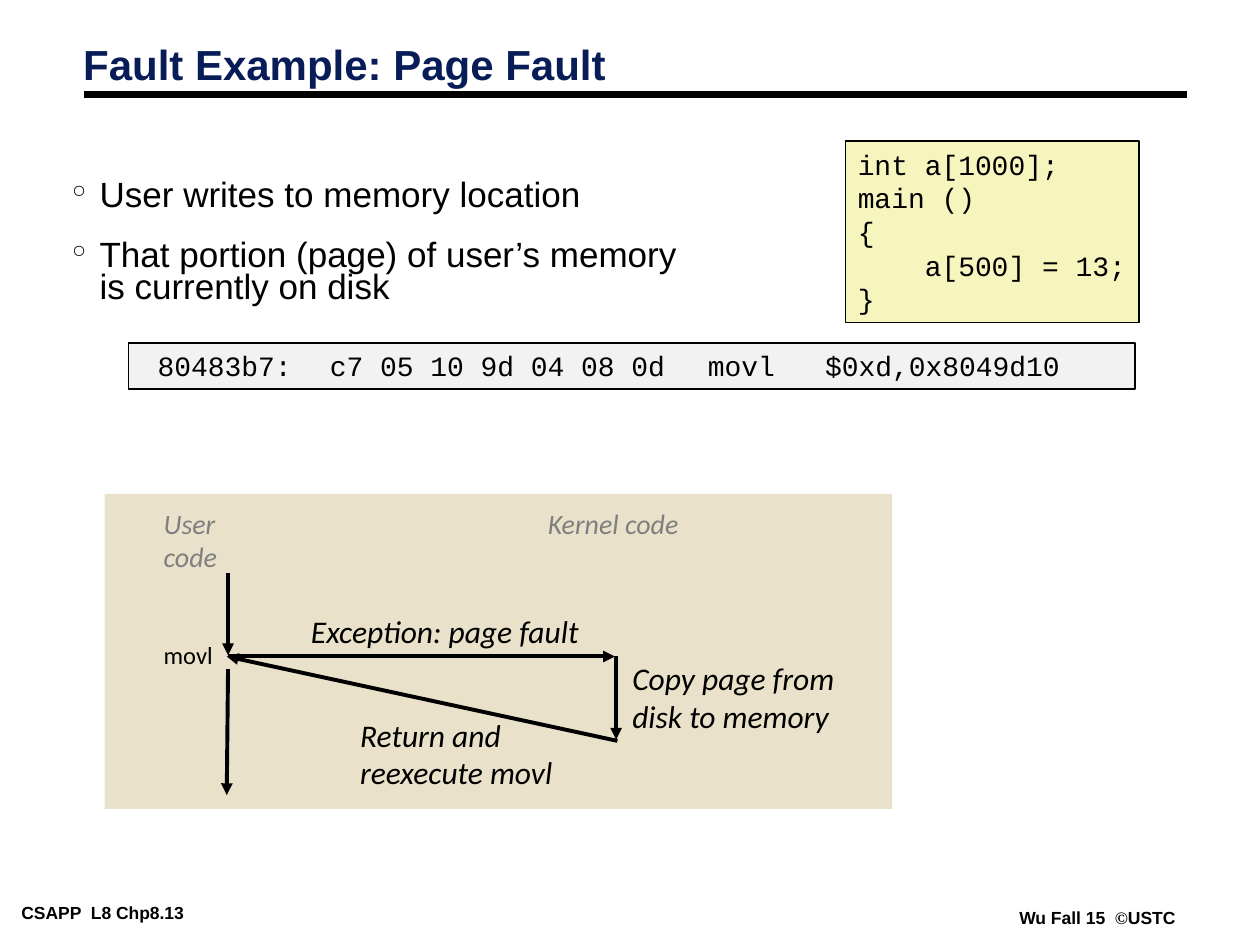
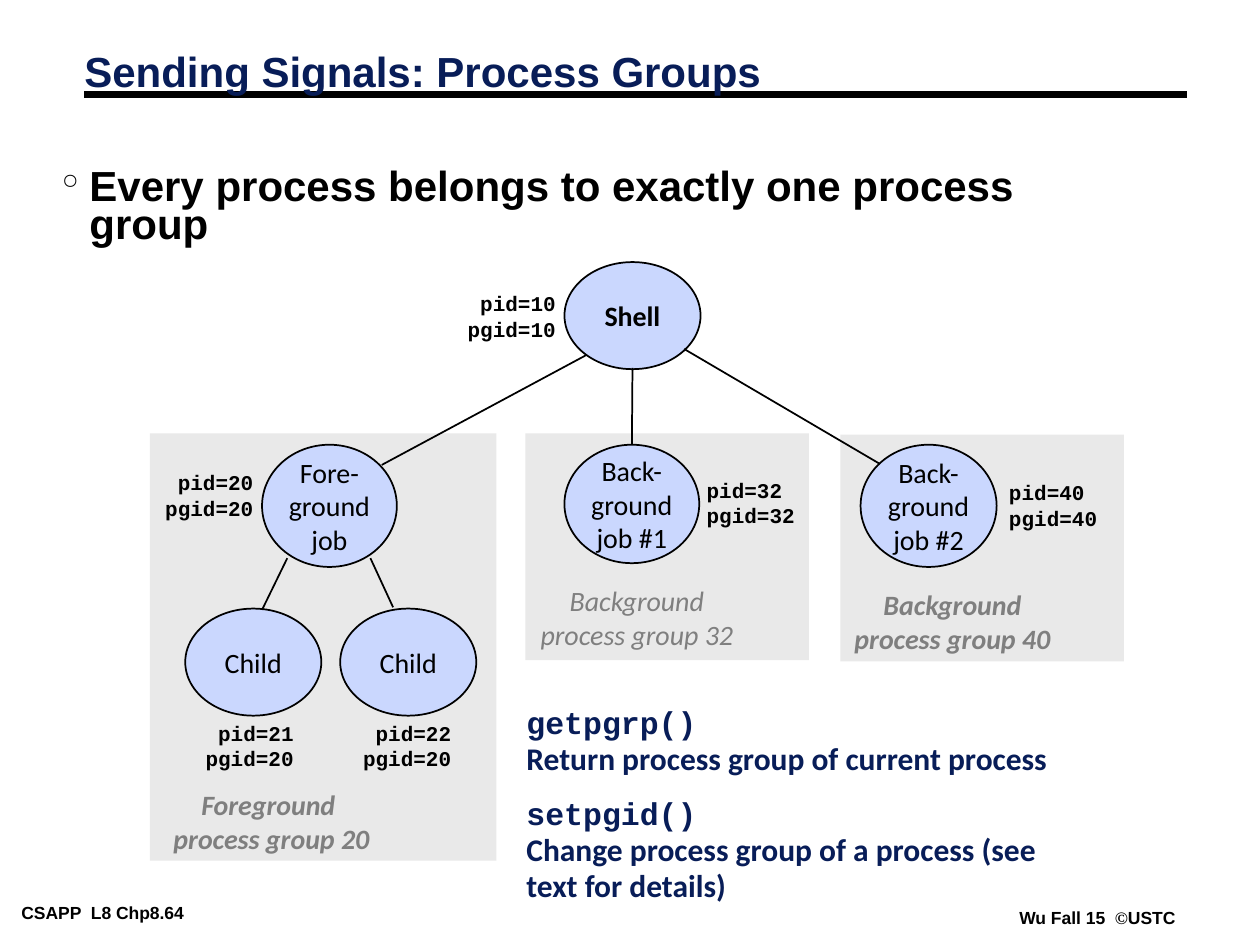
from dataclasses import dataclass

from lxml import etree
from pptx import Presentation
from pptx.dml.color import RGBColor
from pptx.enum.shapes import MSO_CONNECTOR, MSO_SHAPE
from pptx.enum.text import MSO_ANCHOR, MSO_AUTO_SIZE, PP_ALIGN
from pptx.oxml.ns import qn
from pptx.util import Inches, Pt

STRAIGHT = MSO_CONNECTOR.STRAIGHT
RECTANGLE, OVAL = MSO_SHAPE.RECTANGLE, MSO_SHAPE.OVAL
TOP, MIDDLE = MSO_ANCHOR.TOP, MSO_ANCHOR.MIDDLE
GROW, FIXED = MSO_AUTO_SIZE.SHAPE_TO_FIT_TEXT, MSO_AUTO_SIZE.NONE
LEFT, CENTER, RIGHT = PP_ALIGN.LEFT, PP_ALIGN.CENTER, PP_ALIGN.RIGHT


@dataclass(frozen=True)
class Theme:
    black: str = "000000"
    navy: str = "081D58"
    gray: str = "7F7F7F"
    code_fill: str = "F6F5BD"
    assembly_fill: str = "F2F2F2"
    flow_fill: str = "E9E1C9"
    group_fill: str = "E9E9E9"
    process_fill: str = "CAD7FE"
    heading_font: str = "Arial"
    label_font: str = "Calibri"
    code_font: str = "Courier New"
    symbol_font: str = "Times New Roman"
    title_size: int = 24
    body_size: int = 20
    note_size: int = 18
    label_size: int = 16
    mark_size: int = 14
    pid_size: int = 12
    footer_size: int = 10
    tight: tuple = (0.07, 0.03)
    roomy: tuple = (0.1, 0.05)


THEME = Theme()


@dataclass(frozen=True)
class Box:
    left: float
    top: float
    width: float
    height: float

    def point(self, x, y):
        return self.left + x, self.top + y

    def inner(self, x, y, width, height):
        return Box(*self.point(x, y), width, height)

    def inches(self):
        return [Inches(v) for v in (self.left, self.top, self.width, self.height)]


def color(value):
    return RGBColor.from_string(value)


def add_bullet(para):
    properties = para._p.get_or_add_pPr()
    properties.set("marL", str(Inches(0.22)))
    properties.set("indent", str(Inches(-0.22)))
    bullet_color = etree.SubElement(properties, qn("a:buClr"))
    etree.SubElement(bullet_color, qn("a:srgbClr"), val=THEME.black)
    etree.SubElement(properties, qn("a:buChar"), char="°")


def write_text(shape, paragraphs, *, size, font=THEME.label_font, ink=THEME.black,
               bold=False, italic=False, align=LEFT, anchor=TOP, insets=THEME.roomy,
               wrap=False, fit=GROW, spacing=None, gap=None, bullet=False):
    frame = shape.text_frame
    frame.word_wrap = wrap
    frame.auto_size = fit
    frame.vertical_anchor = anchor
    frame.margin_left = frame.margin_right = Inches(insets[0])
    frame.margin_top = frame.margin_bottom = Inches(insets[1])
    for index, content in enumerate(paragraphs):
        para = frame.add_paragraph() if index else frame.paragraphs[0]
        if bullet:
            add_bullet(para)
        para.alignment = align
        if spacing:
            para.line_spacing = spacing
        if index and gap:
            para.space_before = Pt(gap)
        spans = [(content, font)] if isinstance(content, str) else content
        for text, span_font in spans:
            for part, line in enumerate(text.split("\n")):
                if part:
                    para.add_line_break()
                if not line:
                    continue
                span = para.add_run()
                span.text = line
                span.font.name = span_font
                span.font.size = Pt(size)
                span.font.bold = bold
                span.font.italic = italic
                span.font.color.rgb = color(ink)


def add_text(page, box, *paragraphs, **style):
    write_text(page.shapes.add_textbox(*box.inches()), paragraphs, **style)


def add_panel(page, box, fill, kind=RECTANGLE, outlined=False):
    panel = page.shapes.add_shape(kind, *box.inches())
    panel.shadow.inherit = False
    panel.fill.solid()
    panel.fill.fore_color.rgb = color(fill)
    if outlined:
        panel.line.color.rgb = color(THEME.black)
        panel.line.width = Pt(1)
    else:
        panel.line.fill.background()
    return panel


def add_line(page, start, end, width=1, arrow=False):
    line = page.shapes.add_connector(STRAIGHT, *[Inches(v) for v in (*start, *end)])
    line.line.color.rgb = color(THEME.black)
    line.line.width = Pt(width)
    if arrow:
        etree.SubElement(line.line._get_or_add_ln(), qn("a:tailEnd"), type="triangle")
    etree.SubElement(line._element.spPr, qn("a:effectLst"))
    return line


def add_page(deck, number, title, title_box):
    page = deck.slides.add_slide(deck.slide_layouts[6])
    footer = dict(size=THEME.footer_size, font=THEME.heading_font, bold=True,
                  insets=THEME.tight)
    add_text(page, Box(0.1, 7.13, 1.95, 0.22), f"CSAPP  L8 Chp8.{number}", **footer)
    add_text(page, Box(8.02, 7.17, 1.38, 0.22),
             [("Wu Fall 15  ", THEME.heading_font), ("©", THEME.symbol_font),
              ("USTC", THEME.heading_font)], **footer)
    add_line(page, (0.67, 0.75), (9.42, 0.75), width=4.5)
    add_text(page, title_box, title, size=THEME.title_size, font=THEME.heading_font,
             ink=THEME.navy, bold=True, insets=THEME.tight, wrap=True, spacing=0.87)
    return page


def add_body(page, box, *points, **style):
    add_text(page, box, *points, font=THEME.heading_font, insets=THEME.tight,
             wrap=True, fit=FIXED, spacing=0.75, bullet=True, **style)


def add_code(page, box, fill, *lines):
    panel = add_panel(page, box, fill, outlined=True)
    write_text(panel, lines, size=THEME.label_size, font=THEME.code_font)


def draw_fault_flow(page, box):
    add_panel(page, box, THEME.flow_fill)
    for x, width, heading in ((0.37, 1.08, "User code"), (3.42, 1.24, "Kernel code")):
        add_text(page, box.inner(x, 0.05, width, 0.36), heading,
                 size=THEME.label_size, ink=THEME.gray, italic=True)
    arrows = (
        ((0.98, 0.63), (0.98, 1.28)),
        ((0.98, 1.29), (4.05, 1.29)),
        ((4.06, 1.29), (4.06, 1.95)),
        ((4.07, 1.96), (0.97, 1.29)),
        ((0.98, 1.39), (0.97, 2.39)),
    )
    for start, end in arrows:
        add_line(page, box.point(*start), box.point(*end), width=2.25, arrow=True)
    notes = (
        ((1.54, 0.89, 2.34, 0.4), "Exception: page fault", False),
        ((4.09, 1.26, 2.16, 0.7), "Copy page from disk to memory", True),
        ((1.93, 1.71, 1.99, 0.7), "Return and reexecute movl", True),
    )
    for place, note, wrap in notes:
        add_text(page, box.inner(*place), note, size=THEME.note_size, italic=True,
                 wrap=wrap)
    add_text(page, box.inner(0.37, 1.11, 0.59, 0.34), "movl", size=THEME.mark_size)


def add_process(page, box, *lines, bold=False):
    process = add_panel(page, box, THEME.process_fill, OVAL, outlined=True)
    write_text(process, lines, size=THEME.label_size, bold=bold, align=CENTER,
               anchor=MIDDLE, fit=FIXED)
    return process


def add_ids(page, corner, pid, pgid, align=RIGHT):
    add_text(page, Box(*corner, 0.9, 0.5), f"pid={pid}", f"pgid={pgid}",
             size=THEME.pid_size, font=THEME.code_font, bold=True, align=align,
             anchor=MIDDLE)


def draw_group(page, box, pgid, job_lines, job_box, ids_at, ids_align, name,
               label_box, bold=True, wrap=False):
    add_panel(page, box, THEME.group_fill)
    job = add_process(page, box.inner(*job_box), *job_lines)
    add_ids(page, box.point(*ids_at), pgid, pgid, ids_align)
    add_text(page, box.inner(*label_box), name, f"process group {pgid}",
             size=THEME.label_size, ink=THEME.gray, bold=bold, italic=True,
             align=CENTER, anchor=MIDDLE, wrap=wrap)
    return job


def draw_foreground_group(page, box):
    draw_group(page, box, 20, ("Fore-", "ground", "job"), (0.89, 0.09, 1.07, 0.97),
               (0.02, 0.24), RIGHT, "Foreground ", (0, 2.76, 1.93, 0.64), wrap=True)
    children = (
        (0.28, 0.34, 21, (1.09, 0.99), (0.89, 1.4)),
        (1.51, 1.59, 22, (1.75, 0.99), (1.93, 1.38)),
    )
    for x, ids_x, pid, start, end in children:
        add_process(page, box.inner(x, 1.39, 1.08, 0.85), "Child")
        add_ids(page, box.point(ids_x, 2.23), pid, 20)
        add_line(page, box.point(*start), box.point(*end))


def draw_process_tree(page, box):
    draw_foreground_group(page, box.inner(0, 1.36, 2.75, 3.39))
    first_job = draw_group(
        page, box.inner(2.98, 1.36, 2.25, 1.8), 32, ("Back-", "ground", "job #1"),
        (0.31, 0.09, 1.07, 0.94), (1.34, 0.3), LEFT, "Background",
        (0.02, 1.14, 1.73, 0.64), bold=False)
    draw_group(
        page, box.inner(5.48, 1.37, 2.25, 1.8), 40, ("Back-", "ground", "job #2"),
        (0.16, 0.08, 1.08, 0.97), (1.24, 0.31), LEFT, "Background",
        (0.01, 1.16, 1.76, 0.64))
    add_process(page, box.inner(3.29, 0, 1.08, 0.85), "Shell", bold=True)
    add_ids(page, box.point(2.42, 0.18), 10, 10)
    add_line(page, box.point(3.46, 0.74), box.point(1.84, 1.61))
    add_line(page, box.point(4.24, 0.69), box.point(5.79, 1.6))
    middle = add_line(page, box.point(3.83, 0.84), box.point(3.83, 1.45))
    middle.end_connect(first_job, 0)


def draw_calls(page, box):
    calls = (
        ("getpgrp()\n", "Return process group of current process"),
        ("setpgid()\n", "Change process group of a process (see text for details)"),
    )
    add_text(page, box,
             *[[(call, THEME.code_font), (use, THEME.label_font)] for call, use in calls],
             size=THEME.note_size, ink=THEME.navy, bold=True, wrap=True, fit=FIXED,
             spacing=0.95, gap=11.2)


def build_page_fault(deck):
    page = add_page(deck, 13, "Fault Example: Page Fault", Box(0.59, 0.33, 8.63, 0.61))
    add_body(page, Box(0.5, 1.42, 8.92, 5.69), "User writes to memory location",
             "That portion (page) of user’s memory \nis currently on disk",
             size=THEME.body_size, gap=16.2)
    add_code(page, Box(6.71, 1.12, 2.33, 1.44), THEME.code_fill,
             "int a[1000];", "main ()", "{", "    a[500] = 13;", "}")
    add_code(page, Box(1.02, 2.72, 7.99, 0.37), THEME.assembly_fill,
             " 80483b7:\tc7 05 10 9d 04 08 0d \tmovl   $0xd,0x8049d10")
    draw_fault_flow(page, Box(0.83, 3.92, 6.25, 2.5))


def build_process_groups(deck):
    page = add_page(deck, 64, "Sending Signals: Process Groups",
                    Box(0.6, 0.39, 8.3, 0.83))
    add_body(page, Box(0.42, 1.33, 8.44, 0.67),
             "Every process belongs to exactly one process group",
             size=THEME.title_size, bold=True)
    draw_process_tree(page, Box(1.19, 2.08, 7.73, 4.75))
    draw_calls(page, Box(4.08, 5.55, 4.5, 1.7))


def main():
    deck = Presentation()
    deck.slide_width, deck.slide_height = Inches(10), Inches(7.5)
    build_page_fault(deck)
    build_process_groups(deck)
    deck.save("out.pptx")


if __name__ == "__main__":
    main()
